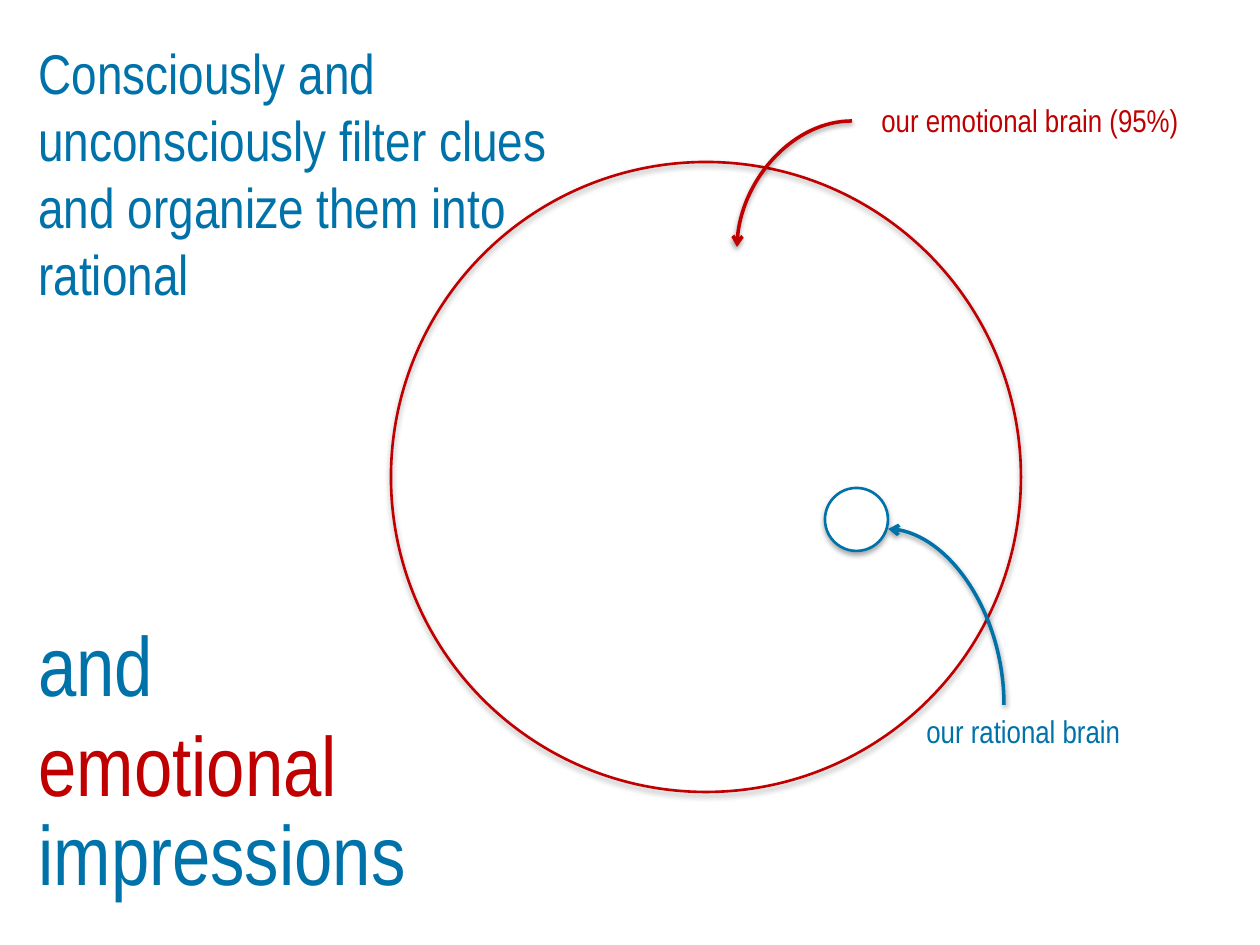
from lxml import etree
from pptx import Presentation
from pptx.dml.color import RGBColor
from pptx.enum.shapes import MSO_CONNECTOR, MSO_SHAPE
from pptx.enum.text import MSO_ANCHOR, MSO_AUTO_SIZE
from pptx.oxml import parse_xml
from pptx.oxml.ns import nsdecls, qn
from pptx.util import Emu, Pt

CURVE = MSO_CONNECTOR.CURVE
OVAL = MSO_SHAPE.OVAL
TOP = MSO_ANCHOR.TOP
NO_FIT = MSO_AUTO_SIZE.NONE

SCALE = 914400 / 126
FONT = "Arial Narrow"
RED = "C00000"
BLUE = "0072AA"
WHITE = "FFFFFF"


def px(num):
    return Emu(round(num * SCALE))


def color(code):
    return RGBColor.from_string(code)


def style(item, **values):
    for key, value in values.items():
        setattr(item, key, value)


def shade(props, alpha, dist):
    """Give the shape properties a soft shadow that falls straight down."""
    old = props.find(qn("a:effectLst"))
    if old is not None:
        props.remove(old)
    props.append(parse_xml(
        f'<a:effectLst {nsdecls("a")}>'
        f'<a:outerShdw blurRad="{Pt(3.1)}" dist="{Pt(dist)}" dir="5400000"'
        ' rotWithShape="0"><a:srgbClr val="000000">'
        f'<a:alpha val="{alpha * 1000}"/></a:srgbClr></a:outerShdw>'
        '</a:effectLst>'))


def ring(slide, left, top, size, edge, fill=None):
    oval = slide.shapes.add_shape(OVAL, px(left), px(top), px(size), px(size))
    if fill:
        oval.fill.solid()
        oval.fill.fore_color.rgb = color(fill)
    else:
        oval.fill.background()
    oval.line.color.rgb = color(edge)
    oval.line.width = Pt(1.5)
    shade(oval.element.spPr, 35, 1.8)


def arrow(slide, left, top, width, height, turn, tint):
    """Draw a quarter curve, set in its unturned box and then rotated."""
    curve = slide.shapes.add_connector(
        CURVE, px(left), px(top + height), px(left + width), px(top))
    curve.line.color.rgb = color(tint)
    curve.line.width = Pt(2)
    props = curve.element.spPr
    props.find(qn("a:prstGeom")).set("prst", "curvedConnector2")
    props.find(qn("a:xfrm")).set("rot", str(turn * 60000))
    etree.SubElement(props.find(qn("a:ln")), qn("a:tailEnd"), type="arrow")
    shade(props, 38, 1.6)


def label(slide, left, top, width, height, size, runs, wrap=True):
    box = slide.shapes.add_textbox(px(left), px(top), px(width), px(height))
    frame = box.text_frame
    style(frame, word_wrap=wrap, auto_size=NO_FIT, vertical_anchor=TOP)
    for words, tint in runs:
        run = frame.paragraphs[0].add_run()
        run.text = words
        style(run.font, name=FONT, size=Pt(size))
        run.font.color.rgb = color(tint)


def main():
    deck = Presentation()
    style(deck, slide_width=px(1260), slide_height=px(945))
    slide = deck.slides.add_slide(deck.slide_layouts[6])

    # Large emotional brain with the small rational one inside
    ring(slide, 391, 162, 630, RED)
    ring(slide, 825, 488, 63, BLUE, WHITE)

    # Arrows from the labels
    arrow(slide, 858, 559, 176, 116, 270, BLUE)
    arrow(slide, 737, 121, 115, 126, 180, RED)

    # Labels
    label(slide, 869, 95, 362, 50, 18, [("our emotional brain (95%)", RED)])
    label(slide, 914, 706, 331, 50, 18, [("our rational brain", BLUE)])

    # Statement: title above, closing words below
    title = ("Consciously and unconsciously filter clues "
             "and organize them into rational")
    label(slide, 26, 32, 549, 158, 32, [(title, BLUE)])
    label(slide, 26, 606, 433, 217, 48, [("and ", BLUE), ("emotional", RED)])
    label(slide, 26, 795, 397, 115, 48, [("impressions", BLUE)], wrap=False)

    deck.save("out.pptx")


if __name__ == "__main__":
    main()
